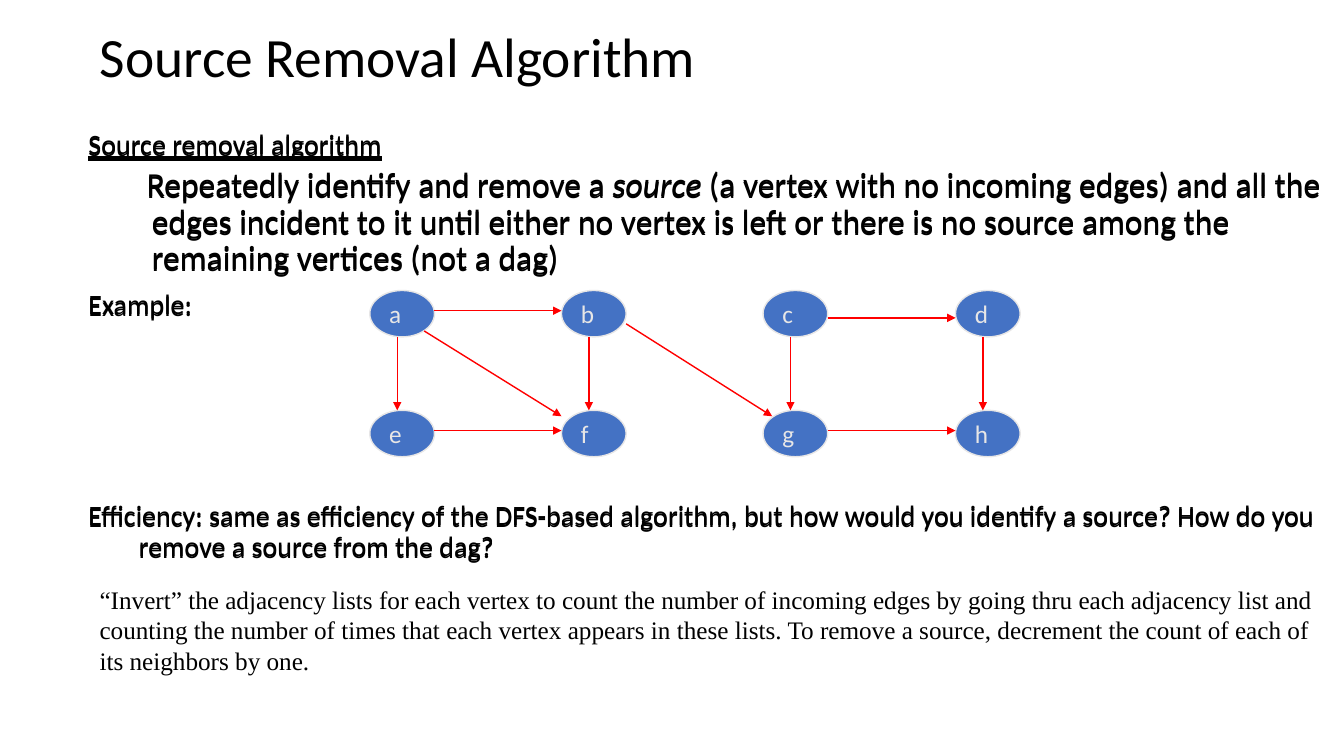
from lxml.etree import SubElement
from pptx import Presentation
from pptx.dml.color import RGBColor
from pptx.enum.shapes import MSO_CONNECTOR as Connector, MSO_SHAPE as Shape
from pptx.enum.text import MSO_ANCHOR as Anchor, MSO_AUTO_SIZE as AutoSize, PP_ALIGN as Align
from pptx.oxml.ns import qn
from pptx.util import Cm, Pt

BLACK = RGBColor(0x00, 0x00, 0x00)
BLUE = RGBColor(0x44, 0x72, 0xC4)
PALE = RGBColor(0xE7, 0xE6, 0xE6)
RED = RGBColor(0xFF, 0x00, 0x00)

NODE_WIDTH, NODE_HEIGHT = 1.63, 1.17
COLUMNS = (9.32, 14.15, 19.23, 24.08)
ROWS = {7.32: "abcd", 10.34: "efgh"}
NODES = {name: (left, top) for top, names in ROWS.items()
         for left, name in zip(COLUMNS, names)}

# Start and end of an edge, measured from the top left corner of its two nodes
ACROSS = ((NODE_WIDTH, 0.51), (0, 0.51))
ACROSS_LOW = ((NODE_WIDTH, 0.69), (0, 0.69))
DOWN = ((0.69, NODE_HEIGHT), (0.69, 0))
EDGES = {
    "ab": ACROSS, "ef": ACROSS, "gh": ACROSS, "cd": ACROSS_LOW,
    "ae": DOWN, "bf": DOWN, "cg": DOWN, "dh": DOWN,
    "af": ((1.37, 1.02), (0, 0.15)),
    "bg": ((NODE_WIDTH, 0.84), (0.23, 0.15)),
}

HEADING = {"margin": 1.27, "indent": -1.27, "size": 20}
DETAIL = {"margin": 1.6, "indent": -0.13, "size": 24}
BODY = (
    (HEADING, 0, [("Source removal algorithm", {"underline": True})]),
    (DETAIL, 5, [
        ("Repeatedly identify and remove a ", {}),
        ("source", {"italic": True}),
        (" (a vertex with no incoming edges) and all the edges incident to it until "
         "either no vertex is left or there is no source among the remaining vertices "
         "(not a dag)", {}),
    ]),
    (HEADING, 10, [("Example:", {})]),
    (HEADING, 129, [
        ("Efficiency: same as efficiency of the DFS-based algorithm, but how would you "
         "identify a source? How do you remove a source from the dag?", {}),
    ]),
)
NOTE = ("“Invert” the adjacency lists for each vertex to count the number of incoming "
        "edges by going thru each adjacency list and counting the number of times that "
        "each vertex appears in these lists. To remove a source, decrement the count of "
        "each of its neighbors by one.")


def add_span(para, text, size, color=BLACK, name="Calibri", **extra):
    span = para.add_run()
    span.text = text
    span.font.color.rgb = color
    for key, value in {"size": Pt(size), "name": name, **extra}.items():
        setattr(span.font, key, value)


def add_title(page, text):
    title = page.shapes.title
    place = {"left": Cm(2.26), "top": Cm(0.56), "width": Cm(31.04), "height": Cm(1.9)}
    for key, value in place.items():
        setattr(title, key, value)
    frame = title.text_frame
    frame.auto_size = AutoSize.NONE
    frame.vertical_anchor = Anchor.MIDDLE
    para = frame.paragraphs[0]
    para.alignment = Align.LEFT
    para.line_spacing = 0.9
    add_span(para, text, 39.6)


def add_text_frame(page, left, top, width, height):
    box = page.shapes.add_textbox(Cm(left), Cm(top), Cm(width), Cm(height))
    box.text_frame.word_wrap = True
    return box.text_frame


def add_body(page, top):
    frame = add_text_frame(page, 1.98, top, 31.9, 15.24)
    for index, (style, space, spans) in enumerate(BODY):
        para = frame.add_paragraph() if index else frame.paragraphs[0]
        para.line_spacing = 0.9
        para.space_before = Pt(space)
        properties = para._p.get_or_add_pPr()
        properties.set("marL", str(Cm(style["margin"])))
        properties.set("indent", str(Cm(style["indent"])))
        for text, extra in spans:
            add_span(para, text, style["size"], **extra)


def add_node(page, name, left, top):
    node = page.shapes.add_shape(Shape.OVAL, Cm(left), Cm(top),
                                 Cm(NODE_WIDTH), Cm(NODE_HEIGHT))
    node.shadow.inherit = False
    node.fill.solid()
    node.fill.fore_color.rgb = BLUE
    node.line.color.rgb = PALE
    node.line.width = Pt(1)
    frame = node.text_frame
    frame.word_wrap = False
    frame.vertical_anchor = Anchor.MIDDLE
    para = frame.paragraphs[0]
    para.alignment = Align.LEFT
    add_span(para, name, 18, PALE)


def add_edge(page, ends, offsets):
    points = [Cm(corner + shift) for name, offset in zip(ends, offsets)
              for corner, shift in zip(NODES[name], offset)]
    edge = page.shapes.add_connector(Connector.STRAIGHT, *points)
    edge.line.color.rgb = RED
    edge.line.width = Pt(1)
    SubElement(edge.line._get_or_add_ln(), qn("a:tailEnd"), type="triangle")
    SubElement(edge._element.spPr, qn("a:effectLst"))


def main():
    deck = Presentation()
    deck.slide_width, deck.slide_height = Cm(33.87), Cm(19.05)
    page = deck.slides.add_slide(deck.slide_layouts[5])
    add_title(page, "Source Removal Algorithm")
    # The body is set twice, slightly shifted, which makes its letters heavier
    for top in (3.17, 3.22):
        add_body(page, top)
    for name, corner in NODES.items():
        add_node(page, name, *corner)
    for ends, offsets in EDGES.items():
        add_edge(page, ends, offsets)
    note = add_text_frame(page, 2.26, 14.6, 31.6, 2.54)
    add_span(note.paragraphs[0], NOTE, 18, name="Times New Roman")
    deck.save("out.pptx")


if __name__ == "__main__":
    main()
